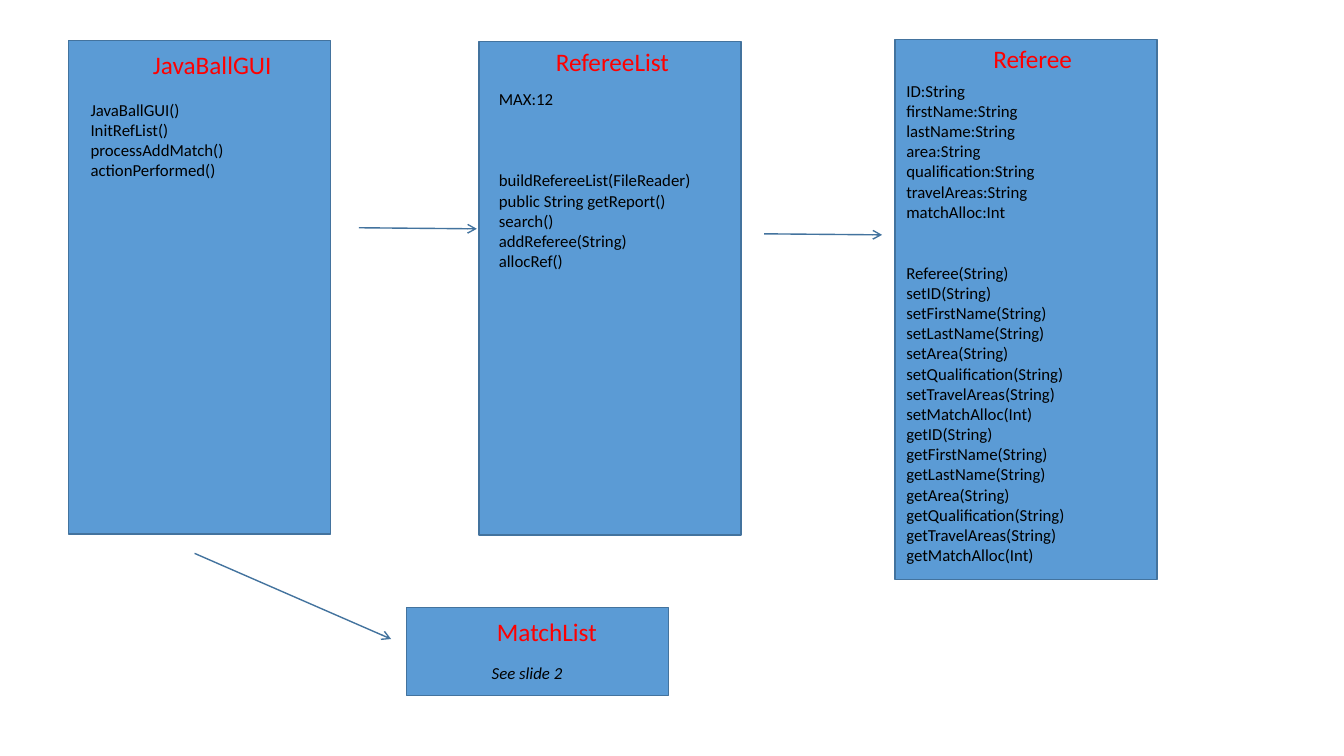
from lxml import etree
from pptx import Presentation
from pptx.dml.color import RGBColor
from pptx.enum.shapes import MSO_CONNECTOR, MSO_SHAPE
from pptx.enum.text import MSO_AUTO_SIZE, PP_ALIGN
from pptx.oxml.ns import qn
from pptx.util import Inches, Pt

RECTANGLE = MSO_SHAPE.RECTANGLE
STRAIGHT = MSO_CONNECTOR.STRAIGHT
FIT_SHAPE = MSO_AUTO_SIZE.SHAPE_TO_FIT_TEXT
CENTER, JUSTIFY = PP_ALIGN.CENTER, PP_ALIGN.JUSTIFY

BOX_BLUE = RGBColor(0x5B, 0x9B, 0xD5)
LINE_BLUE = RGBColor(0x43, 0x73, 0x9E)
RED = RGBColor(0xFF, 0x00, 0x00)
BLACK = RGBColor(0x00, 0x00, 0x00)

SLIDE_WIDTH, SLIDE_HEIGHT = Inches(13.33), Inches(7.5)
LINE_PITCH = Pt(14.6)
BOX_WIDTH = 19.5
TITLE_HEIGHT = 5.33
TITLE_FONT = {"name": "Calibri", "size": Pt(18)}
MEMBER_FONT = {"name": "Calibri", "size": Pt(12)}
NOTE_FONT = {**MEMBER_FONT, "italic": True}

REFEREE_FIELDS = ["ID:String", "firstName:String", "lastName:String", "area:String",
                  "qualification:String", "travelAreas:String", "matchAlloc:Int"]
REFEREE_METHODS = [
    "Referee(String)", "setID(String)", "setFirstName(String)", "setLastName(String)",
    "setArea(String)", "setQualification(String)", "setTravelAreas(String)",
    "setMatchAlloc(Int)", "getID(String)", "getFirstName(String)", "getLastName(String)",
    "getArea(String)", "getQualification(String)", "getTravelAreas(String)",
    "getMatchAlloc(Int)"]

# Places are percentages of the slide: left, top, width, height.
CLASSES = [
    {"box": (5.1, 5.33, BOX_WIDTH, 65.33),
     "title": ("JavaBallGUI", (5.85, 5.87, 19.88, TITLE_HEIGHT)),
     "members": ([["JavaBallGUI()", "InitRefList()", "processAddMatch()",
                   "actionPerformed()"]], (6, 12.53, 18, 12.13))},
    {"box": (35.63, 5.47, BOX_WIDTH, 65.33),
     "title": ("RefereeList", (35.63, 5.47, 19.88, TITLE_HEIGHT)),
     "members": ([["MAX:12"],
                  ["buildRefereeList(FileReader)", "public String getReport()",
                   "search()", "addReferee(String)", "allocRef()"]],
                 (36.38, 11.07, 18.75, 25.6)),
     "gap": 3},
    {"box": (66.6, 5.2, BOX_WIDTH, 71.47),
     "title": ("Referee", (66.9, 5.07, 19.88, TITLE_HEIGHT)),
     "members": ([REFEREE_FIELDS, REFEREE_METHODS], (66.7, 10, BOX_WIDTH, 75.33)),
     "gap": 2},
    {"box": (30.23, 80.4, BOX_WIDTH, 11.6),
     "title": ("MatchList", (32.4, 80.93, 16.58, TITLE_HEIGHT)),
     "members": ([["See slide 2"]], (35.85, 87, 11.1, 4)),
     "font": NOTE_FONT},
]
ARROWS = [(26.7, 30.13, 35.48, 30.27),
          (56.85, 30.93, 65.63, 31.07),
          (14.48, 73.2, 29.1, 84.53)]


def place(shares):
    """Turn alternating horizontal and vertical percentages into lengths."""
    sides = (SLIDE_WIDTH, SLIDE_HEIGHT) * 2
    return [round(side * share / 100) for side, share in zip(sides, shares)]


def style_line(line):
    line.color.rgb = LINE_BLUE
    line.width = Pt(1)


def add_box(page, shares):
    box = page.shapes.add_shape(RECTANGLE, *place(shares))
    box.shadow.inherit = False
    box.fill.solid()
    box.fill.fore_color.rgb = BOX_BLUE
    style_line(box.line)


def add_text(page, groups, shares, font, color, alignment, gap=0):
    """Write groups of lines, with a gap of so many lines between groups."""
    frame = page.shapes.add_textbox(*place(shares)).text_frame
    frame.word_wrap = True
    frame.auto_size = FIT_SHAPE
    para = frame.paragraphs[0]
    for group_number, group in enumerate(groups):
        for line_number, line in enumerate(group):
            if group_number or line_number:
                para = frame.add_paragraph()
            if group_number and not line_number:
                para.space_before = gap * LINE_PITCH
            para.alignment = alignment
            span = para.add_run()
            span.text = line
            span.font.color.rgb = color
            for name, value in font.items():
                setattr(span.font, name, value)


def add_class(page, box, title, members, font=MEMBER_FONT, gap=0):
    name, title_place = title
    groups, members_place = members
    add_box(page, box)
    add_text(page, [[name]], title_place, TITLE_FONT, RED, CENTER)
    add_text(page, groups, members_place, font, BLACK, JUSTIFY, gap)


def add_arrow(page, shares):
    arrow = page.shapes.add_connector(STRAIGHT, *place(shares))
    style_line(arrow.line)
    etree.SubElement(arrow.line._get_or_add_ln(), qn("a:tailEnd"), type="arrow")
    etree.SubElement(arrow._element.spPr, qn("a:effectLst"))


def main():
    deck = Presentation()
    deck.slide_width, deck.slide_height = SLIDE_WIDTH, SLIDE_HEIGHT
    page = deck.slides.add_slide(deck.slide_layouts[6])
    for parts in CLASSES:
        add_class(page, **parts)
    for shares in ARROWS:
        add_arrow(page, shares)
    deck.save("out.pptx")


if __name__ == "__main__":
    main()
